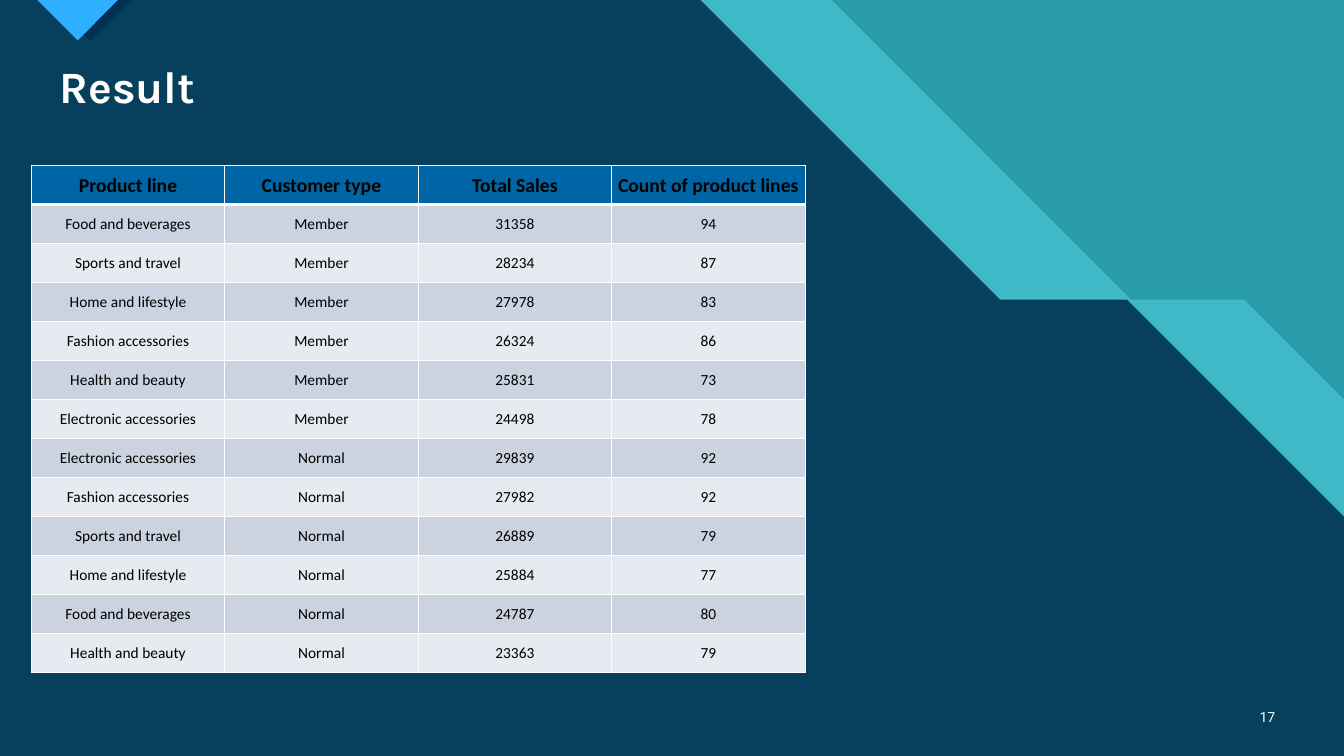
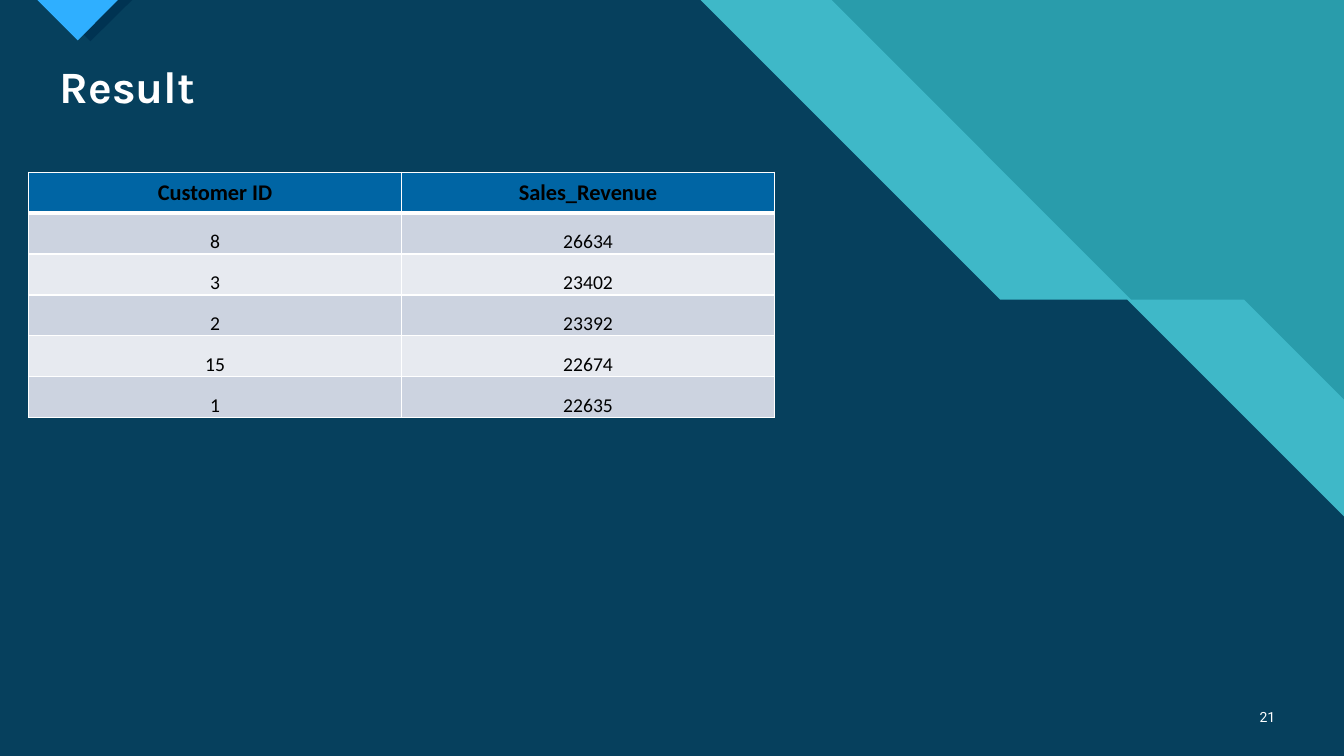
from lxml.etree import SubElement
from pptx import Presentation
from pptx.dml.color import RGBColor
from pptx.enum.text import MSO_ANCHOR as Anchor, PP_ALIGN as Align
from pptx.oxml.ns import qn
from pptx.util import Cm, Pt

NAVY, TEAL, AQUA, SKY = "003352", "299CAB", "47C3D3", "2FAFFF"
WHITE, BLACK = "FFFFFF", "000000"
HEADER_BLUE, ROW_DARK, ROW_LIGHT = "0065A4", "CCD3E0", "E7EAF0"
WIDTH, HEIGHT = 33.87, 19.05


def rgb(hex_colour):
    return RGBColor.from_string(hex_colour)


def write(frame, text, font, size, colour, bold=False, align=Align.LEFT):
    frame.text = text
    paragraph = frame.paragraphs[0]
    paragraph.alignment = align
    style = paragraph.runs[0].font
    style.name, style.size, style.bold = font, Pt(size), bold
    style.color.rgb = rgb(colour)
    return paragraph


# Shared decoration: colour, opacity in percent, corner points in cm
corners = [(WIDTH, HEIGHT), (0, HEIGHT)]
decoration = [
    (AQUA, 74, [(0, 0), (20.96, 0), (28.5, 7.55), (31.35, 7.55), (WIDTH, 10.07)] + corners),
    (NAVY, 90, [(0, 0), (17.65, 0), (25.2, 7.55), (28.4, 7.55), (WIDTH, 13.02)] + corners),
    (NAVY, 100, [(1.22, 0), (2.28, 1.04), (3.33, 0)]),
    (SKY, 100, [(0.94, 0), (1.96, 1.02), (2.97, 0)]),
]

# Slide contents
sales_by_line = [
    ("Product line", "Customer type", "Total Sales", "Count of product lines"),
    ("Food and beverages", "Member", "31358", "94"),
    ("Sports and travel", "Member", "28234", "87"),
    ("Home and lifestyle", "Member", "27978", "83"),
    ("Fashion accessories", "Member", "26324", "86"),
    ("Health and beauty", "Member", "25831", "73"),
    ("Electronic accessories", "Member", "24498", "78"),
    ("Electronic accessories", "Normal", "29839", "92"),
    ("Fashion accessories", "Normal", "27982", "92"),
    ("Sports and travel", "Normal", "26889", "79"),
    ("Home and lifestyle", "Normal", "25884", "77"),
    ("Food and beverages", "Normal", "24787", "80"),
    ("Health and beauty", "Normal", "23363", "79"),
]
top_customers = [
    ("Customer ID", "Sales_Revenue"),
    ("8", "26634"),
    ("3", "23402"),
    ("2", "23392"),
    ("15", "22674"),
    ("1", "22635"),
]

# Page number, rows, table box in cm, header size, body size, body anchor
pages = [
    ("17", sales_by_line, (0.79, 4.17, 19.5, 12.77), 14, 11, Anchor.MIDDLE),
    ("21", top_customers, (0.72, 4.34, 18.8, 6.19), 16, 14, Anchor.BOTTOM),
]

prs = Presentation()
prs.slide_width, prs.slide_height = Cm(WIDTH), Cm(HEIGHT)

for page_number, records, table_box, header_size, body_size, body_anchor in pages:
    slide = prs.slides.add_slide(prs.slide_layouts[6])
    slide.background.fill.solid()
    slide.background.fill.fore_color.rgb = rgb(TEAL)

    # Bands and corner triangle
    for colour, opacity, points in decoration:
        start, *others = [(Cm(x), Cm(y)) for x, y in points]
        outline = slide.shapes.build_freeform(*start)
        outline.add_line_segments(others, close=True)
        band = outline.convert_to_shape()
        band.shadow.inherit = False
        band.line.fill.background()
        band.fill.solid()
        band.fill.fore_color.rgb = rgb(colour)
        if opacity < 100:
            fill_colour = band.element.spPr.find(qn("a:solidFill")).find(qn("a:srgbClr"))
            SubElement(fill_colour, qn("a:alpha"), val=str(opacity * 1000))

    # Title
    title = slide.shapes.add_textbox(Cm(1.25), Cm(1.5), Cm(16.35), Cm(1.5)).text_frame
    title.word_wrap = True
    title.vertical_anchor = Anchor.MIDDLE
    heading = write(title, "Result", "Karla", 32, WHITE, bold=True)
    heading.line_spacing = 0.9
    heading.runs[0].font.element.set("spc", "-70") if hasattr(
        heading.runs[0].font, "element") else None

    # Page number
    footer = slide.shapes.add_textbox(Cm(31.27), Cm(17.55), Cm(1.12), Cm(1.02)).text_frame
    footer.word_wrap = True
    footer.vertical_anchor = Anchor.MIDDLE
    write(footer, page_number, "Roboto", 10, WHITE, align=Align.RIGHT)

    # Result table
    box = [Cm(length) for length in table_box]
    results = slide.shapes.add_table(len(records), len(records[0]), *box).table
    for row, record in enumerate(records):
        is_header = row == 0
        for column, value in enumerate(record):
            cell = results.cell(row, column)
            cell.margin_left = cell.margin_right = cell.margin_top = Cm(0.03)
            cell.margin_bottom = 0
            cell.vertical_anchor = Anchor.MIDDLE if is_header else body_anchor
            write(cell.text_frame, value, "Calibri", header_size if is_header else body_size,
                  BLACK, bold=is_header, align=Align.CENTER)

            # White borders, thicker below the header
            properties = cell._tc.get_or_add_tcPr()
            for side in ("lnL", "lnR", "lnT", "lnB"):
                thick = (row, side) in ((0, "lnB"), (1, "lnT"))
                border = SubElement(properties, qn(f"a:{side}"), w=str(Pt(3 if thick else 1)))
                SubElement(SubElement(border, qn("a:solidFill")), qn("a:srgbClr"), val=WHITE)

            cell.fill.solid()
            row_colour = ROW_DARK if row % 2 else ROW_LIGHT
            cell.fill.fore_color.rgb = rgb(HEADER_BLUE if is_header else row_colour)

prs.save("out.pptx")
